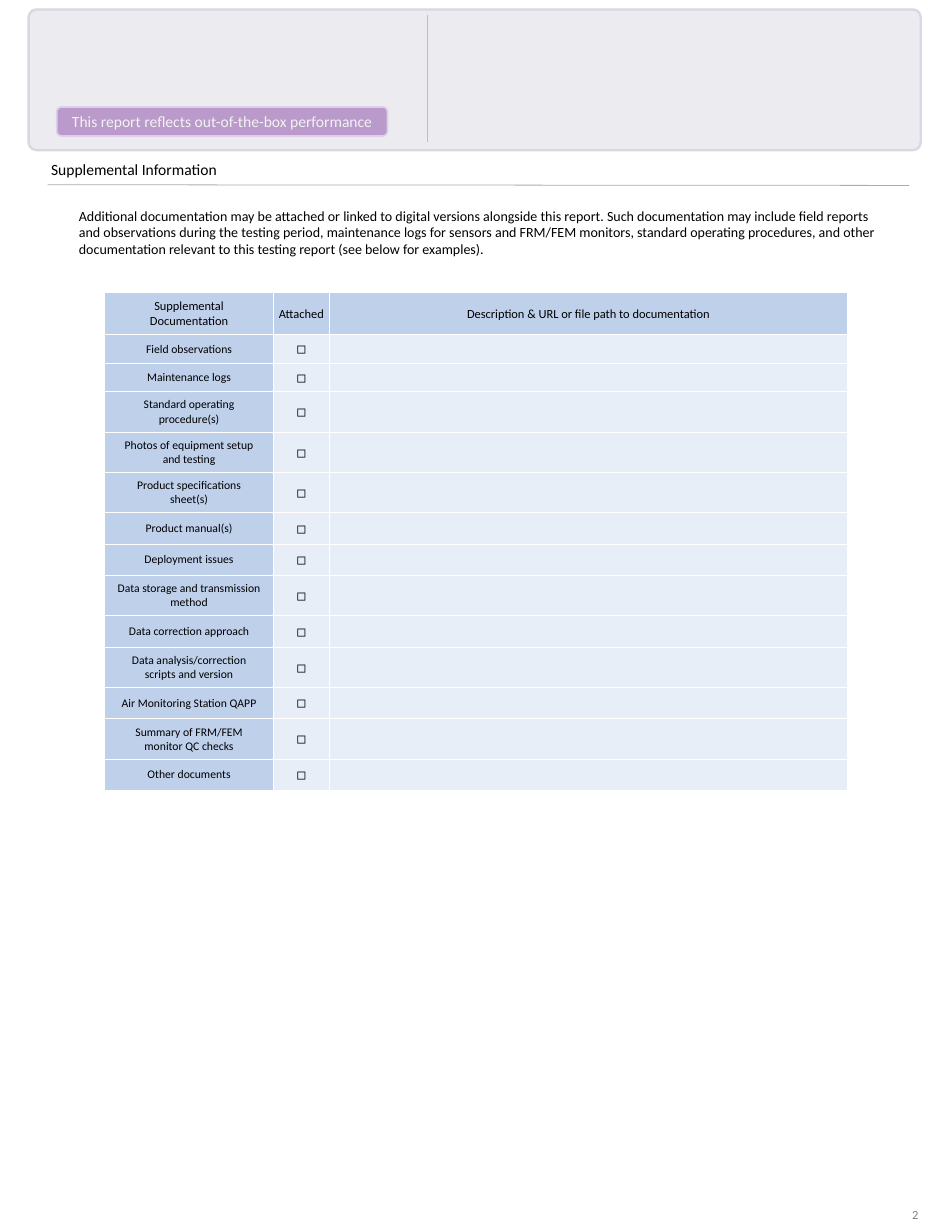
"""Build the supplemental information page of a sensor testing report."""
from dataclasses import dataclass
from typing import Optional

from lxml.etree import SubElement
from pptx import Presentation
from pptx.dml.color import RGBColor
from pptx.enum.shapes import MSO_CONNECTOR as Line, MSO_SHAPE as Shape
from pptx.enum.text import MSO_ANCHOR as Anchor, PP_ALIGN as Align
from pptx.oxml.ns import qn
from pptx.util import Cm, Pt


@dataclass(frozen=True)
class Theme:
    font: str = "Calibri"
    ink: str = "000000"
    panel: str = "ECECF0"
    panel_edge: str = "D6D8E2"
    badge: str = "BA9ACA"
    badge_edge: str = "DDCEEA"
    badge_text: str = "F2F2F2"
    divider: str = "BFBFBF"
    rule: str = "AFABAB"
    page_number: str = "808080"
    label_fill: str = "BFD0EB"
    entry_fill: str = "E8EEF8"
    border: str = "FFFFFF"
    heading: float = 20
    body: float = 18
    small: float = 16
    label: float = 15
    border_width: float = 1.5


@dataclass(frozen=True)
class Box:
    left: float
    top: float
    width: float
    height: float

    def lengths(self) -> tuple:
        return Cm(self.left), Cm(self.top), Cm(self.width), Cm(self.height)


@dataclass(frozen=True)
class DocumentRow:
    label: str
    height: float = 1.42


T = Theme()
WIDE_INSETS = (0.56, 0.28, 0.56, 0.28)
TIGHT_INSETS = (0.05, 0.05, 0.05, 0)
COLUMN_WIDTHS = (7.65, 2.54, 23.5)
HEADER_HEIGHT = 1.32
HEADERS = ("Supplemental Documentation", "Attached",
           "Description & URL or file path to documentation")
CHECKBOX = "\u25fb"
DOCUMENTS = (
    DocumentRow("Field observations", 1.32),
    DocumentRow("Maintenance logs", 1.27),
    DocumentRow("Standard operating procedure(s)", 1.22),
    DocumentRow("Photos of equipment setup and testing"),
    DocumentRow("Product specifications sheet(s)"),
    DocumentRow("Product manual(s)"),
    DocumentRow("Deployment issues"),
    DocumentRow("Data storage and transmission method"),
    DocumentRow("Data correction approach"),
    DocumentRow("Data analysis/correction scripts and version"),
    DocumentRow("Air Monitoring Station QAPP"),
    DocumentRow("Summary of FRM/FEM monitor QC checks"),
    DocumentRow("Other documents", 1.27),
)
INTRO = (
    "Additional documentation may be attached or linked to digital versions "
    "alongside this report. Such documentation may include field reports and "
    "observations during the testing period, maintenance logs for sensors and "
    "FRM/FEM monitors, standard operating procedures, and other documentation "
    "relevant to this testing report (see below for examples)."
)


def rgb(color: str) -> RGBColor:
    return RGBColor.from_string(color)


def write(tf, text: str, *, size: float, color: str = T.ink,
          align: Align = Align.LEFT, indent: float = 0) -> None:
    p = tf.paragraphs[0]
    p.alignment = align
    if indent:
        p._p.get_or_add_pPr().set("marL", str(Cm(indent)))
    r = p.add_run()
    r.text = text
    r.font.name = T.font
    r.font.size = Pt(size)
    r.font.color.rgb = rgb(color)


def add_text(s, box: Box, text: str, **style) -> None:
    tf = s.shapes.add_textbox(*box.lengths()).text_frame
    tf.word_wrap = True
    write(tf, text, **style)


def add_panel(s, box: Box, *, fill: str, edge: str, width: float,
              rounding: Optional[float] = None):
    sp = s.shapes.add_shape(Shape.ROUNDED_RECTANGLE, *box.lengths())
    sp.shadow.inherit = False
    sp.fill.solid()
    sp.fill.fore_color.rgb = rgb(fill)
    sp.line.color.rgb = rgb(edge)
    sp.line.width = Pt(width)
    if rounding is not None:
        sp.adjustments[0] = rounding
    return sp


def add_line(s, start: tuple, end: tuple, color: str) -> None:
    line = s.shapes.add_connector(Line.STRAIGHT, *map(Cm, start + end))
    line.line.color.rgb = rgb(color)
    line.line.width = Pt(1)
    SubElement(line._element.spPr, qn("a:effectLst"))


def format_cell(cell, fill: str, insets: tuple, text: str = "",
                size: float = T.small) -> None:
    cell.margin_left, cell.margin_top, cell.margin_right, cell.margin_bottom = map(Cm, insets)
    cell.vertical_anchor = Anchor.MIDDLE
    tcPr = cell._tc.get_or_add_tcPr()
    for side in ("lnL", "lnR", "lnT", "lnB"):
        ln = SubElement(tcPr, qn(f"a:{side}"), w=str(Pt(T.border_width)))
        SubElement(SubElement(ln, qn("a:solidFill")), qn("a:srgbClr"), val=T.border)
    cell.fill.solid()
    cell.fill.fore_color.rgb = rgb(fill)
    if text:
        write(cell.text_frame, text, size=size, align=Align.CENTER)


def add_documents_table(s, left: float, top: float) -> None:
    heights = (HEADER_HEIGHT, *(doc.height for doc in DOCUMENTS))
    box = Box(left, top, sum(COLUMN_WIDTHS), sum(heights))
    table = s.shapes.add_table(len(heights), len(COLUMN_WIDTHS), *box.lengths()).table
    table.first_row = table.horz_banding = False
    for column, width in zip(table.columns, COLUMN_WIDTHS):
        column.width = Cm(width)
    for row, height in zip(table.rows, heights):
        row.height = Cm(height)
    for i, text in enumerate(HEADERS):
        format_cell(table.cell(0, i), T.label_fill,
                    TIGHT_INSETS if i else WIDE_INSETS, text)
    for i, doc in enumerate(DOCUMENTS, start=1):
        last = i == len(DOCUMENTS)
        format_cell(table.cell(i, 0), T.label_fill, WIDE_INSETS, doc.label, T.label)
        format_cell(table.cell(i, 1), T.entry_fill,
                    WIDE_INSETS if last else TIGHT_INSETS, CHECKBOX, T.heading)
        format_cell(table.cell(i, 2), T.entry_fill, TIGHT_INSETS)


def add_title(s, box: Box, text: str) -> None:
    title = s.shapes.title
    title.left, title.top, title.width, title.height = box.lengths()
    title.text_frame.vertical_anchor = Anchor.MIDDLE
    write(title.text_frame, text, size=T.heading)


def main() -> None:
    prs = Presentation()
    prs.slide_width, prs.slide_height = Cm(43.18), Cm(55.88)
    s = prs.slides.add_slide(prs.slide_layouts[5])
    add_panel(s, Box(1.3, 0.43, 40.46, 6.38), fill=T.panel,
              edge=T.panel_edge, width=3, rounding=0.055)
    add_line(s, (19.38, 0.66), (19.38, 6.45), T.divider)
    badge = add_panel(s, Box(2.57, 4.85, 15.01, 1.32), fill=T.badge,
                      edge=T.badge_edge, width=2.25)
    badge.text_frame.vertical_anchor = Anchor.MIDDLE
    write(badge.text_frame, "This report reflects out-of-the-box performance",
          size=T.heading, color=T.badge_text, align=Align.CENTER)
    add_title(s, Box(2.06, 7.14, 8.5, 1.12), "Supplemental Information")
    add_line(s, (2.16, 8.38), (41.25, 8.41), T.rule)
    add_text(s, Box(2.06, 9.27, 38.15, 3.25), INTRO, size=T.body, indent=1.27)
    add_documents_table(s, 4.75, 13.26)
    add_text(s, Box(41.12, 54.61, 2.06, 1.27), "2", size=T.small, color=T.page_number)
    prs.save("out.pptx")


main()
